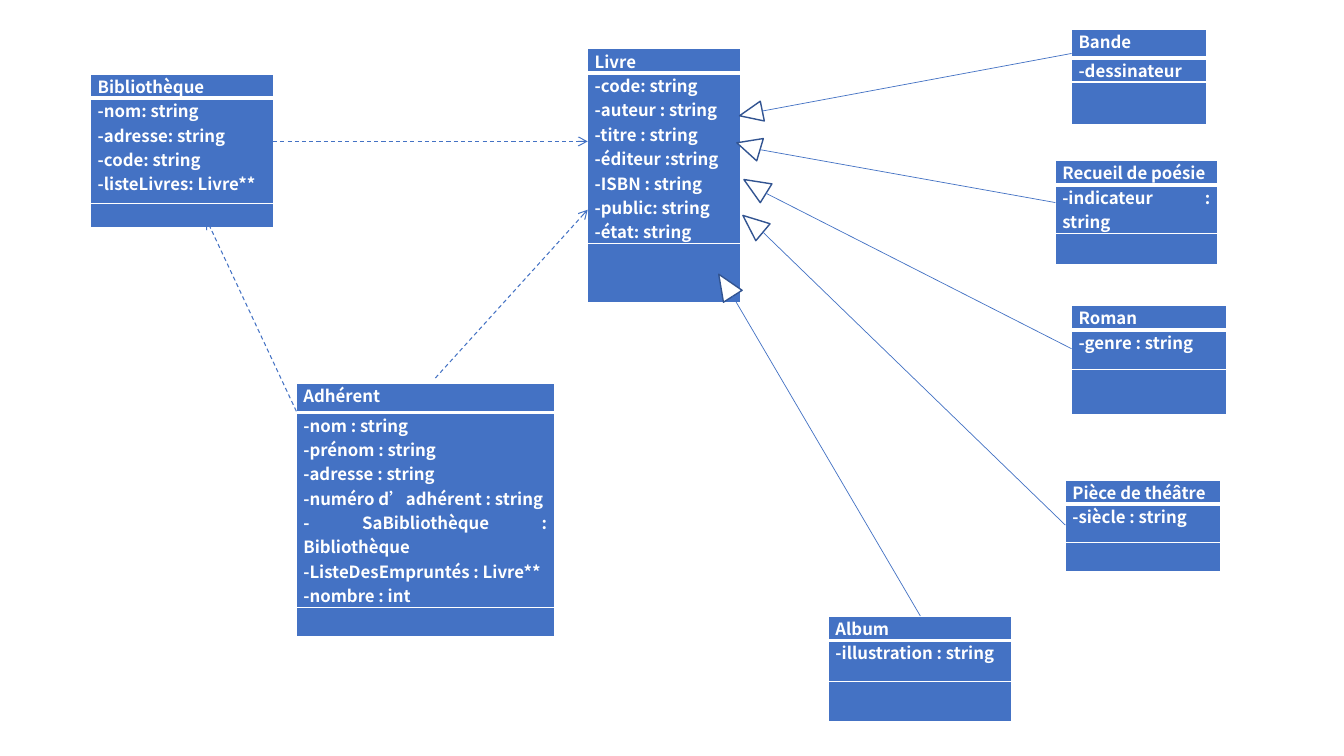
from dataclasses import dataclass
from math import cos, radians, sin

from pptx import Presentation
from pptx.dml.color import RGBColor
from pptx.enum import dml, shapes, text
from pptx.oxml import parse_xml
from pptx.oxml import ns
from pptx.util import Pt


@dataclass(frozen=True)
class Theme:
    font: str = "Noto Sans CJK SC"
    size: float = 12
    blue: str = "4472C4"
    outline: str = "325491"
    white: str = "FFFFFF"
    border: float = 1
    header_border: float = 3
    dependency: float = 0.75
    inheritance: float = 0.5


THEME = Theme()

# left, top, width, row heights, class name, attributes
CLASSES = [
    (64.8, 52.8, 130.3, (14.4, 74.9, 14.4), "Bibliothèque",
     ["-nom: string", "-adresse: string", "-code: string", "-listeLivres: Livre**"]),
    (419.8, 34.8, 109.4, (16.6, 93.6, 41.8), "Livre",
     ["-code: string", "-auteur : string", "-titre : string", "-éditeur :string",
      "-ISBN : string", "-public: string", "-état: string"]),
    (765.4, 21, 96.5, (20.2, 16.6, 30.2), "Bande", ["-dessinateur"]),
    (753.8, 114.6, 115.9, (15.8, 22.3, 22.3), "Recueil de poésie", ["-indicateur : string"]),
    (765.4, 218.2, 110.9, (15.1, 28.1, 32.4), "Roman", ["-genre : string"]),
    (761, 342.8, 110.9, (17.3, 27.4, 20.9), "Pièce de théâtre", ["-siècle : string"]),
    (591.8, 440, 131, (16.6, 29.5, 28.8), "Album", ["-illustration : string"]),
    (211.7, 273.8, 184.3, (20.9, 107.3, 20.9), "Adhérent",
     ["-nom : string", "-prénom : string", "-adresse : string",
      "-numéro d’adhérent : string", "- SaBibliothèque : Bibliothèque",
      "-ListeDesEmpruntés : Livre**", "-nombre : int"]),
]

DEPENDENCIES = [
    ((195.1, 101), (419.8, 101)),
    ((311, 270), (419.8, 149.8)),
    ((211.7, 293.8), (147.6, 157)),
]

# triangle left, top, width, height, rotation, then the end of its line
INHERITANCES = [
    (529.2, 72.7, 14.4, 16.6, 258.4, (765.4, 38.2)),
    (526.3, 95.8, 16.6, 17.3, 286.5, (753.8, 144.7)),
    (531.4, 123.8, 15.8, 18.7, 301.8, (765.4, 249.1)),
    (529.9, 150.5, 15.8, 18.7, 310, (761, 375.1)),
    (510.5, 194.4, 15.8, 18.7, 327.5, (657.4, 440)),
]


def rgb(value):
    return RGBColor.from_string(value)


def set_borders(cell, top, bottom):
    """Draw white borders, with the given top and bottom widths."""
    widths = {"lnL": THEME.border, "lnR": THEME.border, "lnT": top, "lnB": bottom}
    properties = cell._tc.get_or_add_tcPr()
    for index, (tag, width) in enumerate(widths.items()):
        properties.insert(index, parse_xml(
            f'<a:{tag} {ns.nsdecls("a")} w="{Pt(width)}"><a:solidFill>'
            f'<a:srgbClr val="{THEME.white}"/></a:solidFill></a:{tag}>'))


def fill_cell(cell, lines):
    cell.margin_left = cell.margin_right = Pt(5)
    cell.margin_top = cell.margin_bottom = 0
    cell.fill.solid()
    cell.fill.fore_color.rgb = rgb(THEME.blue)
    cell.text = "\n".join(lines)
    for para in cell.text_frame.paragraphs:
        para.alignment = text.PP_ALIGN.JUSTIFY
        para.font.name = THEME.font
        para.font.size = Pt(THEME.size)
        para.font.bold = True
        para.font.color.rgb = rgb(THEME.white)


def add_class(page, left, top, width, heights, name, attributes):
    """Add a class box: its name, its attributes and an empty methods row."""
    frame = page.shapes.add_table(len(heights), 1, Pt(left), Pt(top),
                                  Pt(width), Pt(sum(heights)))
    table = frame.table
    thin, thick = THEME.border, THEME.header_border
    borders = [(thin, thick), (thick, thin), (thin, thin)]
    for index, lines in enumerate([[name], attributes, []]):
        table.rows[index].height = Pt(heights[index])
        cell = table.cell(index, 0)
        fill_cell(cell, lines)
        set_borders(cell, *borders[index])


def add_line(page, start, end, width):
    line = page.shapes.add_connector(shapes.MSO_CONNECTOR.STRAIGHT,
                                     *(Pt(value) for value in (*start, *end)))
    line.line.color.rgb = rgb(THEME.blue)
    line.line.width = Pt(width)
    line._element.spPr.append(parse_xml(f'<a:effectLst {ns.nsdecls("a")}/>'))
    return line


def add_dependency(page, start, end):
    arrow = add_line(page, start, end, THEME.dependency)
    arrow.line.dash_style = dml.MSO_LINE.DASH
    arrow.line._get_or_add_ln().append(
        parse_xml(f'<a:tailEnd {ns.nsdecls("a")} type="arrow"/>'))


def add_inheritance(page, left, top, width, height, rotation, end):
    """Add a hollow triangle and a line from the middle of its base."""
    triangle = page.shapes.add_shape(shapes.MSO_SHAPE.ISOSCELES_TRIANGLE,
                                     Pt(left), Pt(top), Pt(width), Pt(height))
    triangle.rotation = rotation
    triangle.shadow.inherit = False
    triangle.fill.solid()
    triangle.fill.fore_color.rgb = rgb(THEME.white)
    triangle.line.color.rgb = rgb(THEME.outline)
    triangle.line.width = Pt(THEME.border)
    angle = radians(rotation)
    base = (left + width / 2 - sin(angle) * height / 2,
            top + height / 2 + cos(angle) * height / 2)
    add_line(page, base, end, THEME.inheritance)


def main():
    deck = Presentation()
    deck.slide_width, deck.slide_height = Pt(960), Pt(540)
    page = deck.slides.add_slide(deck.slide_layouts[6])
    for item in CLASSES:
        add_class(page, *item)
    for item in DEPENDENCIES:
        add_dependency(page, *item)
    for item in INHERITANCES:
        add_inheritance(page, *item)
    deck.save("out.pptx")


if __name__ == "__main__":
    main()
